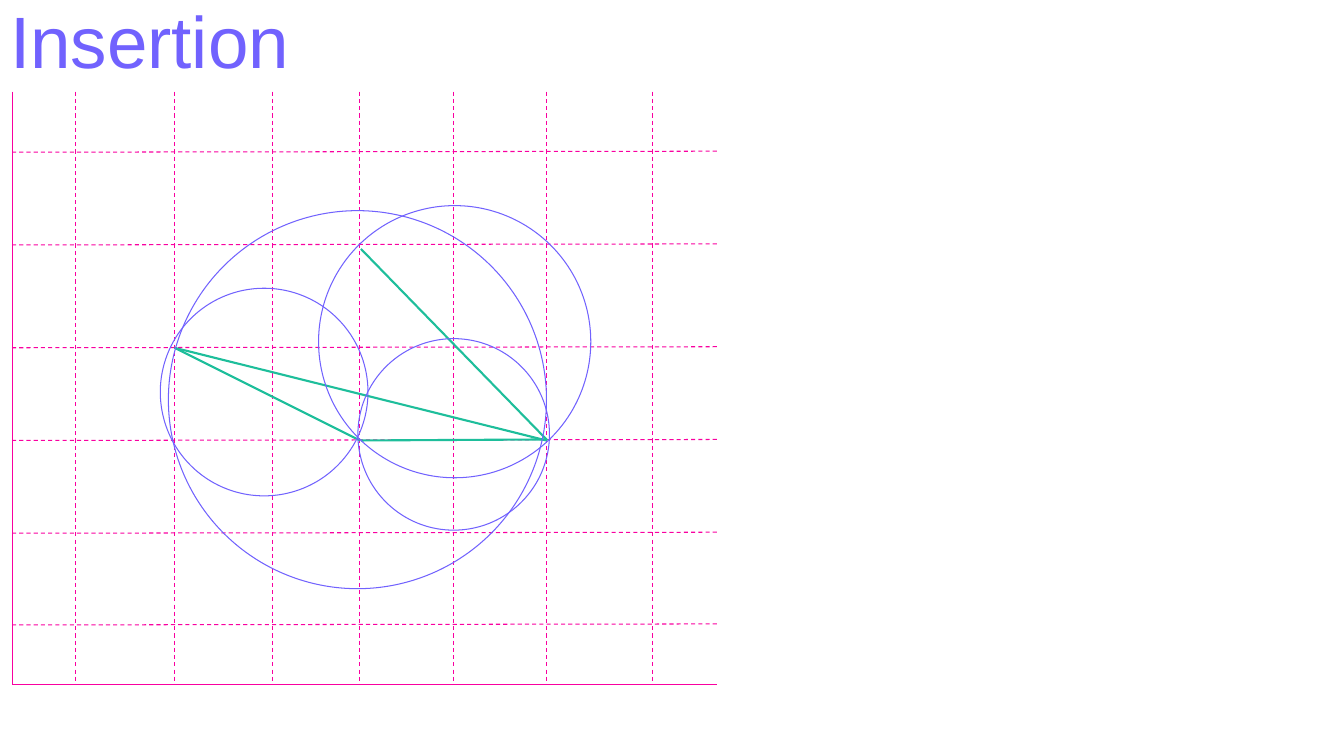
"""Build the Insertion slide: a dashed grid, its edges and their circles."""
import pptx
import pptx.util
import pptx.dml.color
import pptx.enum.dml
import pptx.enum.shapes
import pptx.enum.text
import pptx.oxml
import pptx.oxml.ns

PX = 9144
HUE = {"violet": "7162FE", "pink": "F900A0", "green": "1EBE9B"}
LEFT, RIGHT, TOP, BASE = 12, 711, 91, 679


def rgb(name):
    return pptx.dml.color.RGBColor.from_string(HUE[name])


def draw(group, ends, hue, width, dash=None):
    link = group.shapes.add_connector(
        pptx.enum.shapes.MSO_CONNECTOR.STRAIGHT, *[n * PX for n in ends])
    link.line.color.rgb = rgb(hue)
    looks = {"width": pptx.util.Pt(width), "dash_style": dash}
    for key, value in looks.items():
        setattr(link.line, key, value)
    bare = pptx.oxml.ns.qn("a:effectLst")
    link._element.spPr.append(link._element.makeelement(bare, {}))


deck = pptx.Presentation()
deck.slide_width = 1333 * PX
deck.slide_height = 750 * PX
slide = deck.slides.add_slide(deck.slide_layouts[5])

title = slide.shapes.title
for key, value in {"left": 0, "top": 0, "width": 300, "height": 90}.items():
    setattr(title, key, value * PX)
frame = title.text_frame
frame.text = "Insertion"
looks = {"word_wrap": True, "vertical_anchor": pptx.enum.text.MSO_ANCHOR.MIDDLE,
         "auto_size": pptx.enum.text.MSO_AUTO_SIZE.NONE}
for key, value in looks.items():
    setattr(frame, key, value)
para = frame.paragraphs[0]
para.alignment = pptx.enum.text.PP_ALIGN.LEFT
para.line_spacing = 0.9
font = para.runs[0].font
for key, value in {"name": "Arial", "size": pptx.util.Pt(52)}.items():
    setattr(font, key, value)
font.fill.gradient()
font.fill.gradient_angle = 0
for stop, hue in zip(font.fill.gradient_stops, ("violet", "pink")):
    stop.color.rgb = rgb(hue)
tint = font._element.findall(".//" + pptx.oxml.ns.qn("a:srgbClr"))[-1]
tint.append(tint.makeelement(pptx.oxml.ns.qn("a:alpha"), {"val": "70000"}))

graph = slide.shapes.add_group_shape()
draw(graph, (LEFT, TOP, LEFT, BASE), "pink", 0.5)
draw(graph, (RIGHT, BASE, LEFT, BASE), "pink", 0.5)
dash = pptx.enum.dml.MSO_LINE.DASH
for x in (75, 173, 270, 357, 450, 542, 647):
    draw(graph, (x, TOP, x, BASE), "pink", 0.75, dash)
for y in (619, 528, 436, 344, 242, 150):
    draw(graph, (RIGHT, y, LEFT, y + 1), "pink", 0.75, dash)

edges = [(173, 345, 357, 437), (358, 437, 541, 436),
         (543, 437, 358, 247), (542, 437, 173, 345)]
for edge in edges:
    draw(graph, edge, "green", 1.5)

rings = slide.shapes.add_group_shape()
for x, y, size in ((316, 204, 270), (159, 286, 206), (355, 336, 190), (167, 209, 375)):
    ring = rings.shapes.add_shape(
        pptx.enum.shapes.MSO_SHAPE.OVAL, x * PX, y * PX, size * PX, size * PX)
    ring.shadow.inherit = False
    ring.fill.background()
    ring.line.color.rgb = rgb("violet")
    ring.line.width = pptx.util.Pt(0.75)

deck.save("out.pptx")
